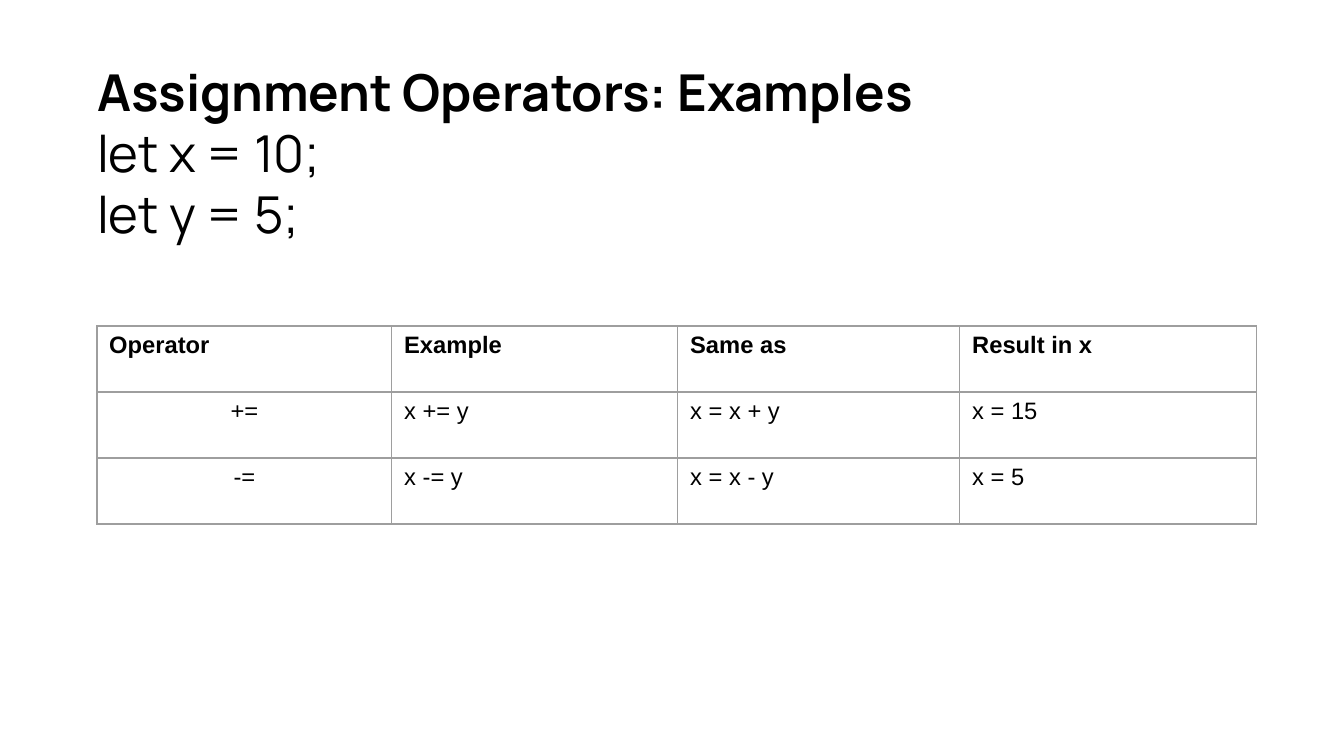
from dataclasses import dataclass

from lxml import etree
from pptx import Presentation
from pptx.dml.color import RGBColor
from pptx.enum.text import MSO_ANCHOR, MSO_AUTO_SIZE, PP_ALIGN
from pptx.oxml.ns import qn
from pptx.util import Pt

SCALE = 7495  # EMU in one px
TITLE_ONLY = 5
TOP = MSO_ANCHOR.TOP
FIXED = MSO_AUTO_SIZE.NONE
LEFT, CENTER = PP_ALIGN.LEFT, PP_ALIGN.CENTER

HEAD = "Assignment Operators: Examples"
CODE = ["let x = 10;", "let y = 5;"]
ROWS = [
    ["Operator", "Example", "Same as", "Result in x"],
    ["+=", "x += y", "x = x + y", "x = 15"],
    ["-=", "x -= y", "x = x - y", "x = 5"],
]
COLS = [295, 286, 282, 297]


@dataclass(frozen=True)
class Theme:
    ink: str = "000000"
    rule: str = "9E9E9E"
    head_font: str = "Manrope"
    body_font: str = "Arial"
    head_size: int = 30
    body_size: int = 14
    rule_size: float = 0.75


def px(n):
    return n * SCALE


class Page:
    def __init__(self, deck, theme):
        self.theme = theme
        self.slide = deck.slides.add_slide(deck.slide_layouts[TITLE_ONLY])

    def style(self, run, font, size, bold):
        run.font.name = font
        run.font.size = Pt(size)
        run.font.bold = bold
        run.font.color.rgb = RGBColor.from_string(self.theme.ink)

    def title(self, head, code, left, top, width, height):
        """Set a bold heading with plain code lines below it."""
        box = self.slide.shapes.title
        box.left, box.top = px(left), px(top)
        box.width, box.height = px(width), px(height)
        frame = box.text_frame
        frame.text = "\v".join([head, *code])
        frame.word_wrap = True
        frame.auto_size = FIXED
        frame.vertical_anchor = TOP
        frame.margin_left = frame.margin_right = px(12)
        frame.margin_top = frame.margin_bottom = px(12)
        para = frame.paragraphs[0]
        para.alignment = LEFT
        for i, run in enumerate(para.runs):
            self.style(run, self.theme.head_font, self.theme.head_size, i == 0)

    def border(self, cell):
        props = cell._tc.get_or_add_tcPr()
        for side in ("a:lnL", "a:lnR", "a:lnT", "a:lnB"):
            line = etree.SubElement(props, qn(side), w=str(Pt(self.theme.rule_size)))
            fill = etree.SubElement(line, qn("a:solidFill"))
            etree.SubElement(fill, qn("a:srgbClr"), val=self.theme.rule)

    def table(self, rows, cols, left, top, height):
        """Draw a ruled table; height is that of one row."""
        grid = self.slide.shapes.add_table(
            len(rows), len(cols), px(left), px(top),
            px(sum(cols)), px(height * len(rows))).table
        grid.first_row = grid.horz_banding = False
        for col, width in zip(grid.columns, cols):
            col.width = px(width)
        for r, row in enumerate(rows):
            grid.rows[r].height = px(height)
            for c, text in enumerate(row):
                cell = grid.cell(r, c)
                cell.text_frame.text = text
                para = cell.text_frame.paragraphs[0]
                para.alignment = CENTER if r > 0 and c == 0 else LEFT
                self.style(para.runs[0], self.theme.body_font,
                           self.theme.body_size, r == 0)
                self.border(cell)
                cell.fill.background()


def main():
    deck = Presentation()
    deck.slide_width, deck.slide_height = px(1344), px(756)
    page = Page(deck, Theme())
    page.table(ROWS, COLS, left=97, top=326, height=66)
    page.title(HEAD, CODE, left=85, top=49, width=1131, height=98)
    deck.save("out.pptx")


if __name__ == "__main__":
    main()
